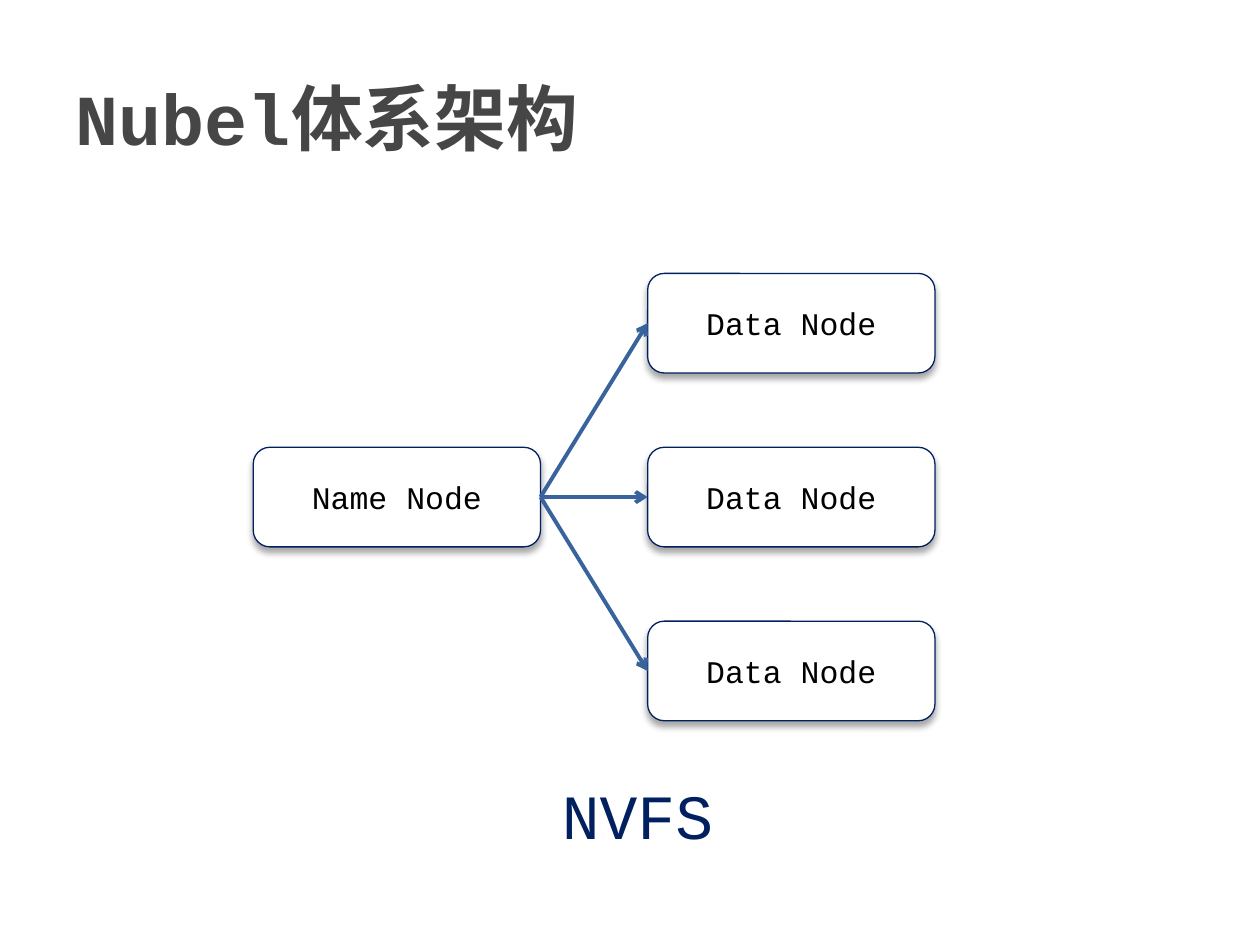
from lxml.etree import SubElement
from pptx import Presentation
from pptx.dml.color import RGBColor
from pptx.enum.shapes import MSO_CONNECTOR, MSO_SHAPE
from pptx.enum.text import MSO_ANCHOR, MSO_AUTO_SIZE, PP_ALIGN
from pptx.oxml.ns import qn
from pptx.util import Inches, Pt

LEFT_SITE, RIGHT_SITE = 1, 3


def color(value):
    """Turn a hex string into a colour."""
    return RGBColor.from_string(value)


def write(frame, text, size, ink, font="Courier New", bold=False,
          align=PP_ALIGN.CENTER, anchor=MSO_ANCHOR.MIDDLE):
    """Write one formatted paragraph into a text frame."""
    frame.word_wrap = True
    frame.vertical_anchor = anchor
    paragraph = frame.paragraphs[0]
    paragraph.alignment = align
    run = paragraph.add_run()
    run.text = text
    run.font.name = font
    run.font.size = Pt(size)
    run.font.bold = bold
    run.font.color.rgb = color(ink)


class Diagram:
    """Hold the style and the current slide."""

    title_ink, node_ink, accent, arrow_ink = "464646", "000000", "002060", "39639D"
    node_width, node_height = Inches(2.28), Inches(0.79)

    def __init__(self, presentation):
        """Add a title-only slide with a group for the diagram."""
        self.slide = presentation.slides.add_slide(presentation.slide_layouts[5])
        self.group = self.slide.shapes.add_group_shape()

    def title(self, text):
        """Fill and place the title placeholder."""
        shape = self.slide.shapes.title
        shape.left, shape.top = Inches(0.5), Inches(0.3)
        shape.width, shape.height = Inches(9), Inches(1.25)
        write(shape.text_frame, text, 41, self.title_ink, bold=True, align=PP_ALIGN.LEFT)

    def node(self, text, left, top):
        """Add a rounded box with a soft shadow below it."""
        shape = self.group.shapes.add_shape(
            MSO_SHAPE.ROUNDED_RECTANGLE, Inches(left), Inches(top),
            self.node_width, self.node_height)
        shape.fill.solid()
        shape.fill.fore_color.rgb = color("FFFFFF")
        shape.line.color.rgb = color(self.accent)
        shape.line.width = Pt(0.75)
        self.shadow(shape)
        write(shape.text_frame, text, 18, self.node_ink)
        return shape

    def shadow(self, shape):
        """Give a shape a downward shadow."""
        shape.shadow.inherit = False
        effects = shape._element.spPr.find(qn("a:effectLst"))
        outer = SubElement(effects, qn("a:outerShdw"), blurRad=str(Pt(4)),
                           dist=str(Pt(3)), dir="5400000", rotWithShape="0")
        ink = SubElement(outer, qn("a:srgbClr"), val="000000")
        SubElement(ink, qn("a:alpha"), val="35000")

    def arrow(self, source, target):
        """Connect the right side of one node to the left side of another."""
        connector = self.group.shapes.add_connector(
            MSO_CONNECTOR.STRAIGHT,
            source.left + source.width, source.top + source.height // 2,
            target.left, target.top + target.height // 2)
        connector.begin_connect(source, RIGHT_SITE)
        connector.end_connect(target, LEFT_SITE)
        connector.line.color.rgb = color(self.arrow_ink)
        connector.line.width = Pt(2.25)
        properties = connector._element.spPr
        SubElement(properties.find(qn("a:ln")), qn("a:tailEnd"), type="arrow")
        SubElement(properties, qn("a:effectLst"))

    def caption(self, text):
        """Add the large label under the diagram."""
        shape = self.slide.shapes.add_textbox(
            Inches(2.56), Inches(6.11), Inches(5), Inches(0.71))
        write(shape.text_frame, text, 36, self.accent, anchor=MSO_ANCHOR.TOP)
        shape.text_frame.auto_size = MSO_AUTO_SIZE.SHAPE_TO_FIT_TEXT


def main():
    """Build and save the slide."""
    presentation = Presentation()
    presentation.slide_width, presentation.slide_height = Inches(10), Inches(7.5)
    diagram = Diagram(presentation)
    diagram.title("Nubel体系架构")
    middle, pitch = 3.55, 1.38
    name_node = diagram.node("Name Node", 2.01, middle)
    data_nodes = [diagram.node("Data Node", 5.14, middle + step * pitch)
                  for step in (-1, 0, 1)]
    for data_node in data_nodes:
        diagram.arrow(name_node, data_node)
    diagram.caption("NVFS")
    presentation.save("out.pptx")


if __name__ == "__main__":
    main()
